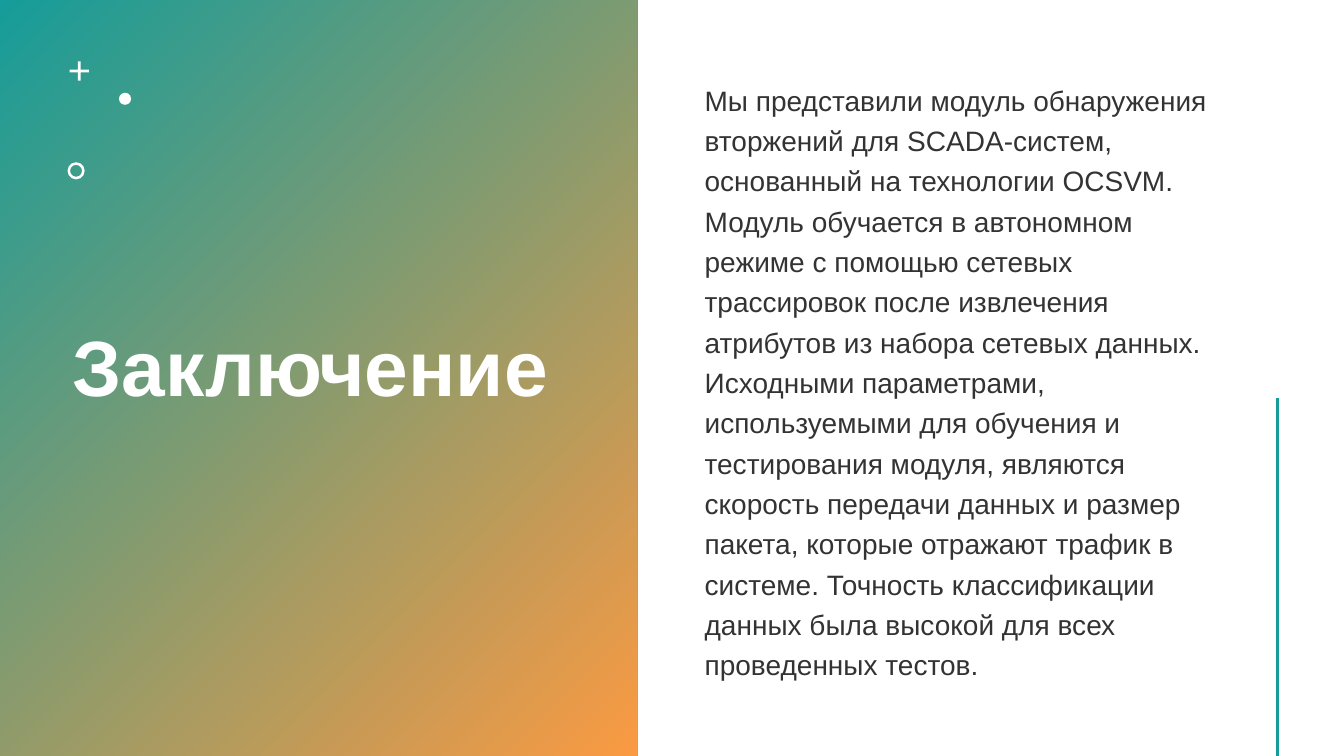
"""Build the closing slide: a gradient title panel beside a text summary."""
import dataclasses

import lxml.etree
import pptx
import pptx.dml.color
import pptx.enum.shapes
import pptx.enum.text
import pptx.oxml.ns
import pptx.util

Inches = pptx.util.Inches
Color = pptx.dml.color.RGBColor
Kind = pptx.enum.shapes.MSO_SHAPE


@dataclasses.dataclass(frozen=True)
class Theme:
    """Colours, font and type sizes of the slide."""
    teal: Color = Color.from_string("169C9A")
    orange: Color = Color.from_string("FA9A42")
    white: Color = Color.from_string("FFFFFF")
    ink: Color = Color.from_string("333333")
    font: str = "Arial"
    title: int = 56
    body: int = 20


@dataclasses.dataclass(frozen=True)
class Mark:
    """A small square ornament; adjust sets its stroke where it has one."""
    kind: Kind
    left: float
    top: float
    size: float
    adjust: float | None = None


THEME = Theme()
MARKS = (
    Mark(Kind.CROSS, 0.69, 0.61, 0.19, 0.43),
    Mark(Kind.OVAL, 1.18, 0.92, 0.12),
    Mark(Kind.DONUT, 0.67, 1.61, 0.17, 0.15),
)
SUMMARY = (
    "Мы представили модуль обнаружения вторжений для SCADA-систем, "
    "основанный на технологии OCSVM. Модуль обучается в автономном режиме "
    "с помощью сетевых трассировок после извлечения атрибутов из набора "
    "сетевых данных. Исходными параметрами, используемыми для обучения и "
    "тестирования модуля, являются скорость передачи данных и размер пакета, "
    "которые отражают трафик в системе. Точность классификации данных была "
    "высокой для всех проведенных тестов."
)


def place(shape, left: float, top: float, width: float, height: float) -> None:
    """Set the place and size of a shape in inches."""
    shape.left, shape.top = Inches(left), Inches(top)
    shape.width, shape.height = Inches(width), Inches(height)


def write(shape, text: str, *, size: int, color: Color, bold: bool = False,
          spacing: float = 1.0, before: int = 0) -> None:
    """Put one formatted paragraph, centred in height, into a shape."""
    frame = shape.text_frame
    frame.word_wrap = True
    frame.auto_size = pptx.enum.text.MSO_AUTO_SIZE.NONE
    frame.vertical_anchor = pptx.enum.text.MSO_ANCHOR.MIDDLE
    para = frame.paragraphs[0]
    para.alignment = pptx.enum.text.PP_ALIGN.LEFT
    para.line_spacing = spacing
    para.space_before = pptx.util.Pt(before)
    run = para.add_run()
    run.text = text
    run.font.name, run.font.size = THEME.font, pptx.util.Pt(size)
    run.font.bold, run.font.color.rgb = bold, color


def draw_panel(slide):
    """Draw the diagonal gradient panel on the left."""
    panel = slide.shapes.add_shape(
        Kind.RECTANGLE, 0, 0, Inches(6.32), Inches(7.5))
    panel.shadow.inherit = False
    panel.line.fill.background()
    panel.fill.gradient()
    panel.fill.gradient_angle = 315
    stops = panel.fill.gradient_stops
    for stop, place_at, color in zip(stops, (0, 1), (THEME.teal, THEME.orange)):
        stop.position = place_at
        stop.color.rgb = color
    return panel


def draw_mark(group, mark: Mark) -> None:
    """Draw one white ornament."""
    size = Inches(mark.size)
    shape = group.shapes.add_shape(
        mark.kind, Inches(mark.left), Inches(mark.top), size, size)
    shape.shadow.inherit = False
    shape.fill.solid()
    shape.fill.fore_color.rgb = THEME.white
    shape.line.fill.background()
    if mark.adjust is not None:
        shape.adjustments[0] = mark.adjust


def draw_rule(slide) -> None:
    """Draw the upright line at the right edge."""
    rule = slide.shapes.add_connector(
        pptx.enum.shapes.MSO_CONNECTOR.STRAIGHT,
        Inches(12.67), Inches(3.95), Inches(12.67), Inches(7.5))
    rule.line.color.rgb = THEME.teal
    rule.line.width = pptx.util.Pt(2)
    lxml.etree.SubElement(
        rule.element.spPr, pptx.oxml.ns.qn("a:effectLst"))


def main() -> None:
    """Build and save the slide."""
    deck = pptx.Presentation()
    deck.slide_width, deck.slide_height = Inches(13.33), Inches(7.5)
    slide = deck.slides.add_slide(deck.slide_layouts[5])
    title = slide.shapes.title
    title.element.addprevious(draw_panel(slide).element)
    place(title, 0.62, 0.42, 5.07, 6.53)
    write(title, "Заключение", size=THEME.title, color=THEME.white,
          bold=True, spacing=0.9)
    group = slide.shapes.add_group_shape()
    for mark in MARKS:
        draw_mark(group, mark)
    body = slide.shapes.add_textbox(0, 0, 0, 0)
    place(body, 6.89, 0.57, 5.22, 6.38)
    write(body, SUMMARY, size=THEME.body, color=THEME.ink,
          spacing=1.2, before=10)
    draw_rule(slide)
    deck.save("out.pptx")


if __name__ == "__main__":
    main()
